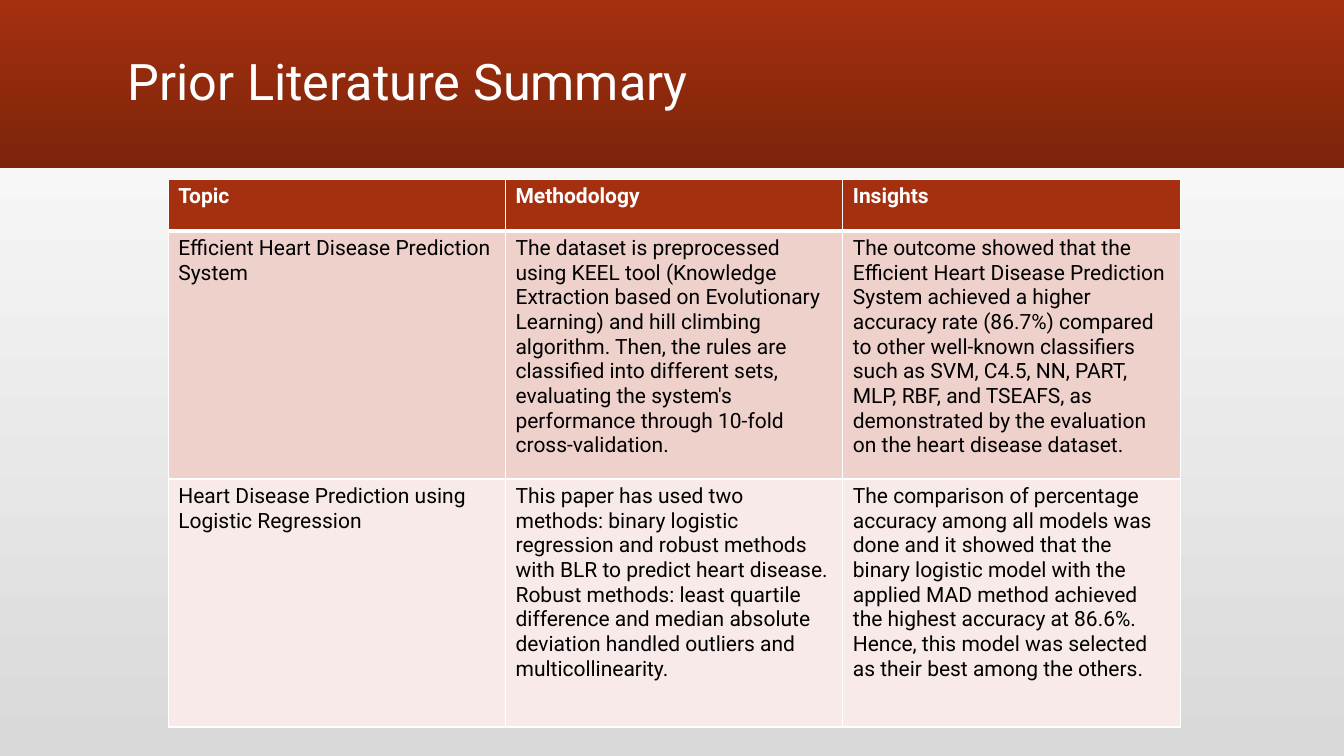
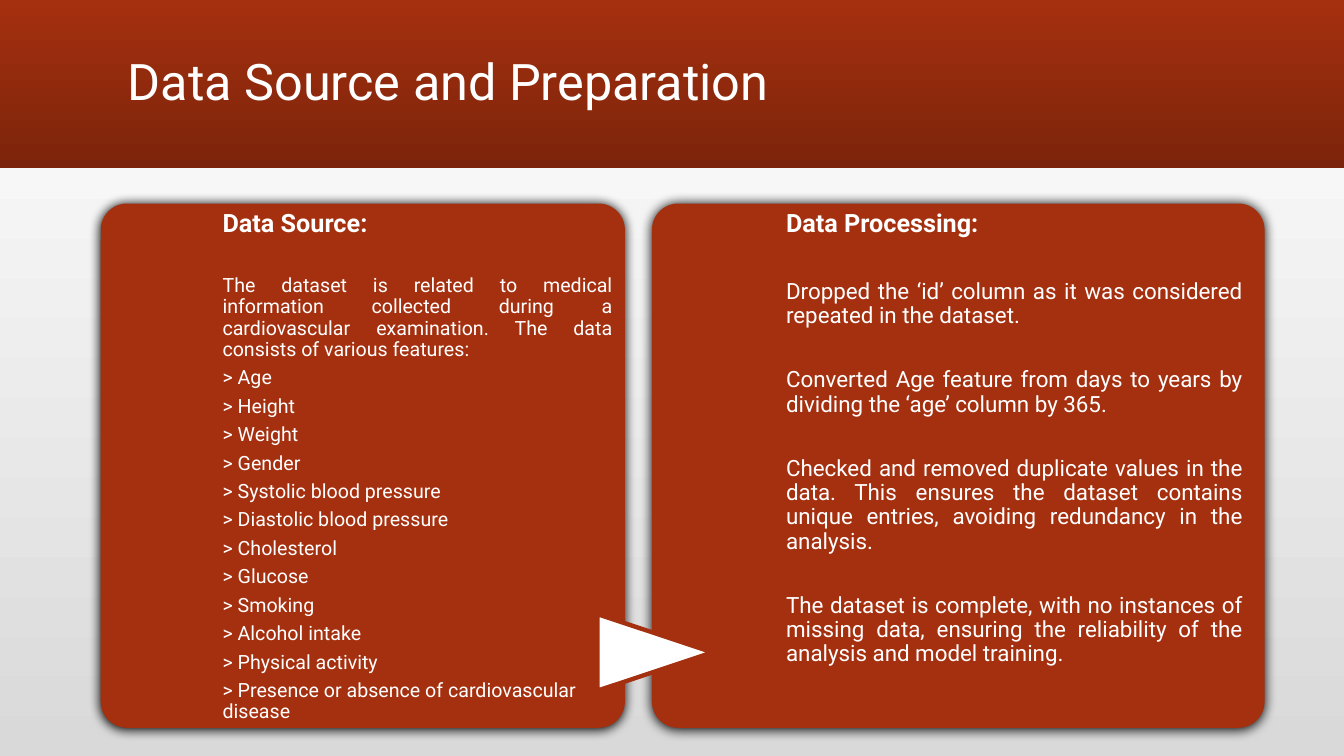
from pptx import Presentation
from pptx.dml.color import RGBColor
from pptx.enum.shapes import MSO_SHAPE as Shape
from pptx.enum.text import MSO_ANCHOR as Anchor, PP_ALIGN as Align
from pptx.oxml import parse_xml
from pptx.oxml.ns import nsdecls
from pptx.util import Cm, Pt

FONT = "Roboto"
RUST, DARK_RUST = "A5300F", "7C240B"
WHITE, GREY, BLACK = "FFFFFF", "D9D9D9", "000000"
ROW_FILLS = [RUST, "EFD1CC", "F7EAE8"]
WIDTH, HEIGHT = 33.87, 19.05
UP, DOWN = 90, 270
CARD_TOP, CARD_SIDE = 5.13, 13.21


def color(value):
    return RGBColor.from_string(value)


def gradient(fill, start, end, angle):
    fill.gradient()
    fill.gradient_angle = angle
    for stop, value, position in zip(fill.gradient_stops, (start, end), (0, 1)):
        stop.color.rgb = color(value)
        stop.position = position


class Slides:
    """Holds the deck style and the page being drawn."""

    def __init__(self):
        self.deck = Presentation()
        self.deck.slide_width, self.deck.slide_height = Cm(WIDTH), Cm(HEIGHT)
        gradient(self.deck.slide_master.background.fill, GREY, WHITE, UP)
        self.page = None

    def start(self, title):
        """New page with the title band."""
        self.page = self.deck.slides.add_slide(self.deck.slide_layouts[6])
        band = self.shape(Shape.RECTANGLE, 0, 0, WIDTH, 4.24, RUST)
        gradient(band.fill, RUST, DARK_RUST, DOWN)
        self.text(2.97, 0.28, 27.94, 3.68, [(title, {"size": 36}, {"line_spacing": 0.9})],
                  vertical_anchor=Anchor.MIDDLE)

    def shape(self, kind, left, top, width, height, fill, line=None, line_width=1):
        shape = self.page.shapes.add_shape(kind, Cm(left), Cm(top), Cm(width), Cm(height))
        shape.shadow.inherit = False
        shape.fill.solid()
        shape.fill.fore_color.rgb = color(fill)
        if line:
            shape.line.color.rgb = color(line)
            shape.line.width = Pt(line_width)
        else:
            shape.line.fill.background()
        return shape

    def card(self, left, width):
        """Rounded panel with a soft shadow."""
        card = self.shape(Shape.ROUNDED_RECTANGLE, left, CARD_TOP, width, CARD_SIDE, RUST)
        card.adjustments[0] = 0.05
        effects = card.element.spPr.find("{*}effectLst")
        effects.append(parse_xml(
            f'<a:outerShdw {nsdecls("a")} blurRad="{Pt(8.5)}" dist="{Pt(1)}" dir="5400000" '
            f'rotWithShape="0"><a:srgbClr val="{BLACK}"/></a:outerShdw>'))

    def span(self, para, text, size=14, bold=False, ink=WHITE):
        span = para.add_run()
        span.text = text
        formats = {"name": FONT, "size": Pt(size), "bold": bold}
        for key, value in formats.items():
            setattr(span.font, key, value)
        span.font.color.rgb = color(ink)

    def text(self, left, top, width, height, paras, **frame_format):
        """Text box from (text, font format, paragraph format) triples."""
        box = self.page.shapes.add_textbox(Cm(left), Cm(top), Cm(width), Cm(height))
        frame = box.text_frame
        for key, value in {"word_wrap": True, **frame_format}.items():
            setattr(frame, key, value)
        for index, (text, font, layout) in enumerate(paras):
            para = frame.add_paragraph() if index else frame.paragraphs[0]
            for key, value in layout.items():
                setattr(para, key, value)
            self.span(para, text, **font)

    def card_text(self, left, width, heading, heading_gap, body, size):
        """Heading and (text, alignment, gap after) lines on a card."""
        lines = [(heading, {"size": 18, "bold": True},
                  {"line_spacing": 0.9, "space_after": Pt(heading_gap)})]
        lines += [(text, {"size": size},
                   {"line_spacing": 0.9, "space_after": Pt(gap), "alignment": align})
                  for text, align, gap in body]
        self.text(left, CARD_TOP, width, CARD_SIDE, lines, margin_left=0,
                  margin_right=0, margin_top=Cm(0.18), margin_bottom=0)

    def borders(self, cell, widths):
        properties = cell._tc.get_or_add_tcPr()
        for side, width in widths.items():
            properties.append(parse_xml(
                f'<a:ln{side} {nsdecls("a")} w="{Pt(width)}"><a:solidFill>'
                f'<a:srgbClr val="{WHITE}"/></a:solidFill></a:ln{side}>'))

    def table(self, left, top, column_width, row_heights, rows):
        columns = len(rows[0])
        frame = self.page.shapes.add_table(
            len(rows), columns, Cm(left), Cm(top),
            Cm(column_width * columns), Cm(sum(row_heights)))
        table = frame.table
        table.horz_banding = False
        for column in table.columns:
            column.width = Cm(column_width)
        for r, (texts, height) in enumerate(zip(rows, row_heights)):
            table.rows[r].height = Cm(height)
            head = r == 0
            for c, text in enumerate(texts):
                cell = table.cell(r, c)
                self.borders(cell, {"L": 1, "R": 1, "T": 3 if r == 1 else 1,
                                    "B": 3 if head else 1})
                cell.fill.solid()
                cell.fill.fore_color.rgb = color(ROW_FILLS[r])
                self.span(cell.text_frame.paragraphs[0], text, size=15,
                          bold=head, ink=WHITE if head else BLACK)


LITERATURE = [
    ["Topic", "Methodology", "Insights"],
    ["Efficient Heart Disease Prediction System",
     "The dataset is preprocessed using KEEL tool (Knowledge Extraction based on "
     "Evolutionary Learning) and hill climbing algorithm. Then, the rules are classified "
     "into different sets, evaluating the system's performance through 10-fold "
     "cross-validation.",
     "The outcome showed that the Efficient Heart Disease Prediction System achieved a "
     "higher accuracy rate (86.7%) compared to other well-known classifiers such as SVM, "
     "C4.5, NN, PART, MLP, RBF, and TSEAFS, as demonstrated by the evaluation on the heart "
     "disease dataset."],
    ["Heart Disease Prediction using Logistic Regression",
     "This paper has used two methods: binary logistic regression and robust methods with "
     "BLR to predict heart disease. Robust methods: least quartile difference and median "
     "absolute deviation handled outliers and multicollinearity.",
     "The comparison of percentage accuracy among all models was done and it showed that "
     "the binary logistic model with the applied MAD method achieved the highest accuracy "
     "at 86.6%. Hence, this model was selected as their best among the others."],
]
SOURCE_INTRO = ("The dataset is related to medical information collected during a "
                "cardiovascular examination. The data consists of various features:")
FEATURES = ["Age", "Height", "Weight", "Gender", "Systolic blood pressure",
            "Diastolic blood pressure", "Cholesterol", "Glucose", "Smoking",
            "Alcohol intake", "Physical activity",
            "Presence or absence of cardiovascular disease"]
PROCESSING = [
    "Dropped the ‘id’ column as it was considered repeated in the dataset.",
    "Converted Age feature from days to years by dividing the ‘age’ column by 365.",
    "Checked and removed duplicate values in the data. This ensures the dataset contains "
    "unique entries, avoiding redundancy in the analysis.",
    "The dataset is complete, with no instances of missing data, ensuring the reliability "
    "of the analysis and model training.",
]


def main():
    slides = Slides()

    # Literature table
    slides.start("Prior Literature Summary")
    slides.table(4.24, 4.52, 8.5, [1.3, 6.25, 6.25], LITERATURE)

    # Data source card
    slides.start("Data Source and Preparation")
    slides.card(2.54, CARD_SIDE)
    source = [(SOURCE_INTRO, Align.JUSTIFY, 5.2)]
    source += [(f"> {feature}", Align.LEFT, 5.2) for feature in FEATURES]
    slides.card_text(5.61, 9.83, "Data Source:", 27, source, 14)

    # Data processing card, with the arrow leading to it
    slides.card(16.43, 15.44)
    arrow = slides.shape(Shape.FLOWCHART_EXTRACT, 15.54, 14.99, 1.93, 2.9, WHITE, RUST, 3.15)
    arrow.rotation = 90
    steps = [(step, Align.JUSTIFY, 28.8) for step in PROCESSING]
    slides.card_text(19.81, 11.51, "Data Processing:", 30, steps, 16)

    slides.deck.save("out.pptx")


if __name__ == "__main__":
    main()
